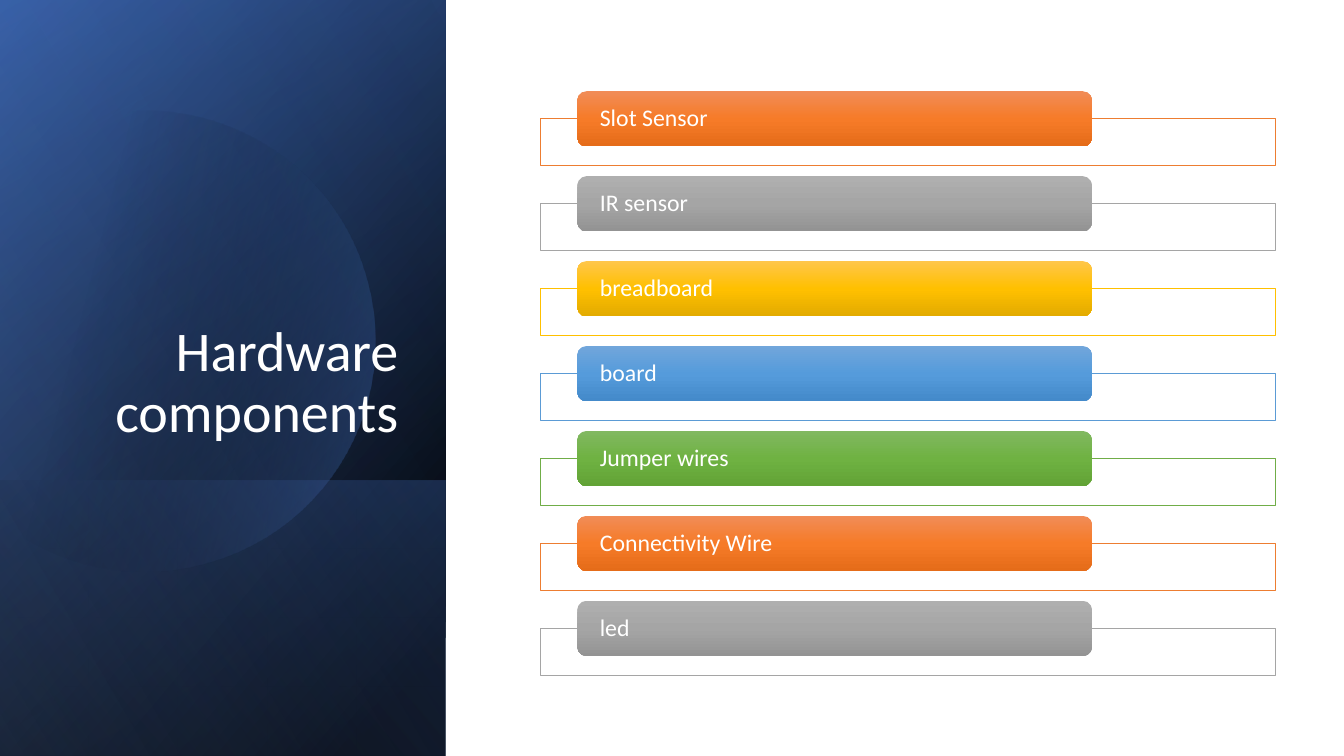
import lxml.etree
import pptx
import pptx.dml.color
import pptx.enum.shapes
import pptx.enum.text
import pptx.oxml.ns
import pptx.util

Cm = pptx.util.Cm
SHAPE = pptx.enum.shapes.MSO_SHAPE

# Content
TITLE = "Hardware components"
COMPONENTS = [
    ("Slot Sensor", "orange"),
    ("IR sensor", "gray"),
    ("breadboard", "gold"),
    ("board", "blue"),
    ("Jumper wires", "green"),
    ("Connectivity Wire", "orange"),
    ("led", "gray"),
]

# Colours and type; gradient stops are (position %, colour, opacity %)
THEME = {
    "font": "Calibri",
    "title_size": 40,
    "label_size": 17,
    "white": "FFFFFF",
    # name: (frame line, tab top, tab middle, tab bottom)
    "accents": {
        "orange": ("ED7D31", "F18C57", "F67B28", "E56C19"),
        "gray": ("A5A5A5", "AFAFAF", "A5A5A5", "939393"),
        "gold": ("FFC000", "FFC64B", "FFC000", "E3AB00"),
        "blue": ("5B9BD5", "71A6DB", "559BDB", "448ACA"),
        "green": ("70AD47", "81B861", "6FB242", "62A336"),
    },
    "base": ([(8, "000000", 100), (100, "2F5597", 100)], 50),
    "glow": ([(0, "000000", 0), (99, "4472C4", 46)], 30),
    "floor": ([(2, "4472C4", 29), (100, "000000", 30)], 130),
    "disc": ([(29, "000000", 0), (100, "4472C4", 43)], 14),
    "sheen": ([(0, "000000", 0), (99, "8FAADC", 11)], 120),
}

# Geometry in cm
SLIDE_W, SLIDE_H = 33.87, 19.05
PANEL_W = 11.23
FLOOR_H = 6.95
TITLE_BOX = (1.63, 4.68, 8.66, 6.65)
FRAME_X, FRAME_Y, FRAME_W, FRAME_H = 13.61, 2.99, 18.52, 1.19
TAB_X, TAB_Y, TAB_W, TAB_H = 14.55, 2.3, 12.97, 1.39
ROW_PITCH = 2.14
DISC_START = (3.78, 2.79)
DISC_SEGMENTS = [  # one point is a line, three points are a Bezier curve
    [(6.25, 2.84), (8.51, 4.5), (9.22, 6.99)],
    [(10.11, 10.08), (8.33, 13.29), (5.26, 14.17)],
    [(3.33, 14.73), (1.35, 14.25), (-0.08, 13.06)],
    [(-0.38, 12.78)],
    [(-0.38, 4.45)],
    [(0, 4.09)],
    [(0.58, 3.58), (1.27, 3.23), (2.03, 3.02)],
    [(2.62, 2.87), (3.2, 2.79), (3.78, 2.79)],
]
CURVE_STEPS = 24


def rgb(code):
    return pptx.dml.color.RGBColor.from_string(code)


def set_all(obj, values):
    for name, value in values.items():
        setattr(obj, name, value)


def fill_gradient(sp, stops, angle):
    """Give a shape a linear gradient that turns with it, and no line."""
    qn = pptx.oxml.ns.qn
    sp.shadow.inherit = False
    sp.line.fill.background()
    sp.fill.background()
    grad = lxml.etree.Element(qn("a:gradFill"), rotWithShape="1")
    stop_list = lxml.etree.SubElement(grad, qn("a:gsLst"))
    for position, code, opacity in stops:
        stop = lxml.etree.SubElement(stop_list, qn("a:gs"), pos=str(position * 1000))
        color = lxml.etree.SubElement(stop, qn("a:srgbClr"), val=code)
        if opacity < 100:
            lxml.etree.SubElement(color, qn("a:alpha"), val=str(opacity * 1000))
    lxml.etree.SubElement(grad, qn("a:lin"), ang=str(angle * 60000), scaled="0")
    props = sp.element.spPr
    props.replace(props.find(qn("a:noFill")), grad)


def add_panel(slide, top, height, gradient):
    """Add a mirrored, quarter-turned rectangle across the left panel."""
    left = (PANEL_W - height) / 2
    sp = slide.shapes.add_shape(SHAPE.RECTANGLE, Cm(left), Cm(top + (height - PANEL_W) / 2),
                                Cm(height), Cm(PANEL_W))
    sp.rotation = 90
    sp.element.spPr.xfrm.set("flipH", "1")
    fill_gradient(sp, *gradient)


def add_disc(slide):
    points, start = [], DISC_START
    for segment in DISC_SEGMENTS:
        if len(segment) == 1:
            points += segment
        else:
            for step in range(1, CURVE_STEPS + 1):
                t = step / CURVE_STEPS
                weights = ((1 - t) ** 3, 3 * t * (1 - t) ** 2, 3 * t * t * (1 - t), t ** 3)
                controls = [start] + segment
                points.append(tuple(sum(w * c[axis] for w, c in zip(weights, controls))
                                    for axis in (0, 1)))
        start = segment[-1]
    builder = slide.shapes.build_freeform(Cm(DISC_START[0]), Cm(DISC_START[1]))
    builder.add_line_segments([(Cm(x), Cm(y)) for x, y in points], close=True)
    fill_gradient(builder.convert_to_shape(), *THEME["disc"])


def write_text(sp, text, size, align, frame_format):
    tf = sp.text_frame
    set_all(tf, {"word_wrap": True, "auto_size": pptx.enum.text.MSO_AUTO_SIZE.NONE, **frame_format})
    p = tf.paragraphs[0]
    set_all(p, {"alignment": align, "line_spacing": 0.9})
    r = p.add_run()
    r.text = text
    set_all(r.font, {"name": THEME["font"], "size": pptx.util.Pt(size)})
    r.font.color.rgb = rgb(THEME["white"])


def add_component(slide, row, label, accent):
    line, *tab_colors = THEME["accents"][accent]
    offset = row * ROW_PITCH
    # Outlined frame behind the tab
    sp = slide.shapes.add_shape(SHAPE.RECTANGLE, Cm(FRAME_X), Cm(FRAME_Y + offset),
                                Cm(FRAME_W), Cm(FRAME_H))
    sp.shadow.inherit = False
    sp.fill.solid()
    sp.fill.fore_color.rgb = rgb(THEME["white"])
    sp.line.color.rgb = rgb(line)
    sp.line.width = pptx.util.Pt(0.5)
    # Labelled tab
    sp = slide.shapes.add_shape(SHAPE.ROUNDED_RECTANGLE, Cm(TAB_X), Cm(TAB_Y + offset),
                                Cm(TAB_W), Cm(TAB_H))
    fill_gradient(sp, [(i * 50, code, 100) for i, code in enumerate(tab_colors)], 90)
    write_text(sp, label, THEME["label_size"], pptx.enum.text.PP_ALIGN.LEFT, {
        "vertical_anchor": pptx.enum.text.MSO_ANCHOR.MIDDLE,
        "margin_left": Cm(0.5), "margin_right": Cm(0.5), "margin_top": 0, "margin_bottom": 0,
    })


def main():
    prs = pptx.Presentation()
    set_all(prs, {"slide_width": Cm(SLIDE_W), "slide_height": Cm(SLIDE_H)})
    slide = prs.slides.add_slide(prs.slide_layouts.get_by_name("Title Only"))

    # Left panel
    add_panel(slide, 0, SLIDE_H, THEME["base"])
    add_panel(slide, 0, SLIDE_H, THEME["glow"])
    add_panel(slide, SLIDE_H - FLOOR_H, FLOOR_H, THEME["floor"])
    add_disc(slide)
    add_panel(slide, 0, SLIDE_H, THEME["sheen"])

    # Title, brought in front of the panel
    title = slide.shapes.title
    title.element.getparent().append(title.element)
    set_all(title, dict(zip(("left", "top", "width", "height"), map(Cm, TITLE_BOX))))
    write_text(title, TITLE, THEME["title_size"], pptx.enum.text.PP_ALIGN.RIGHT,
               {"vertical_anchor": pptx.enum.text.MSO_ANCHOR.BOTTOM})

    # Component list
    for row, (label, accent) in enumerate(COMPONENTS):
        add_component(slide, row, label, accent)

    prs.save("out.pptx")


if __name__ == "__main__":
    main()
